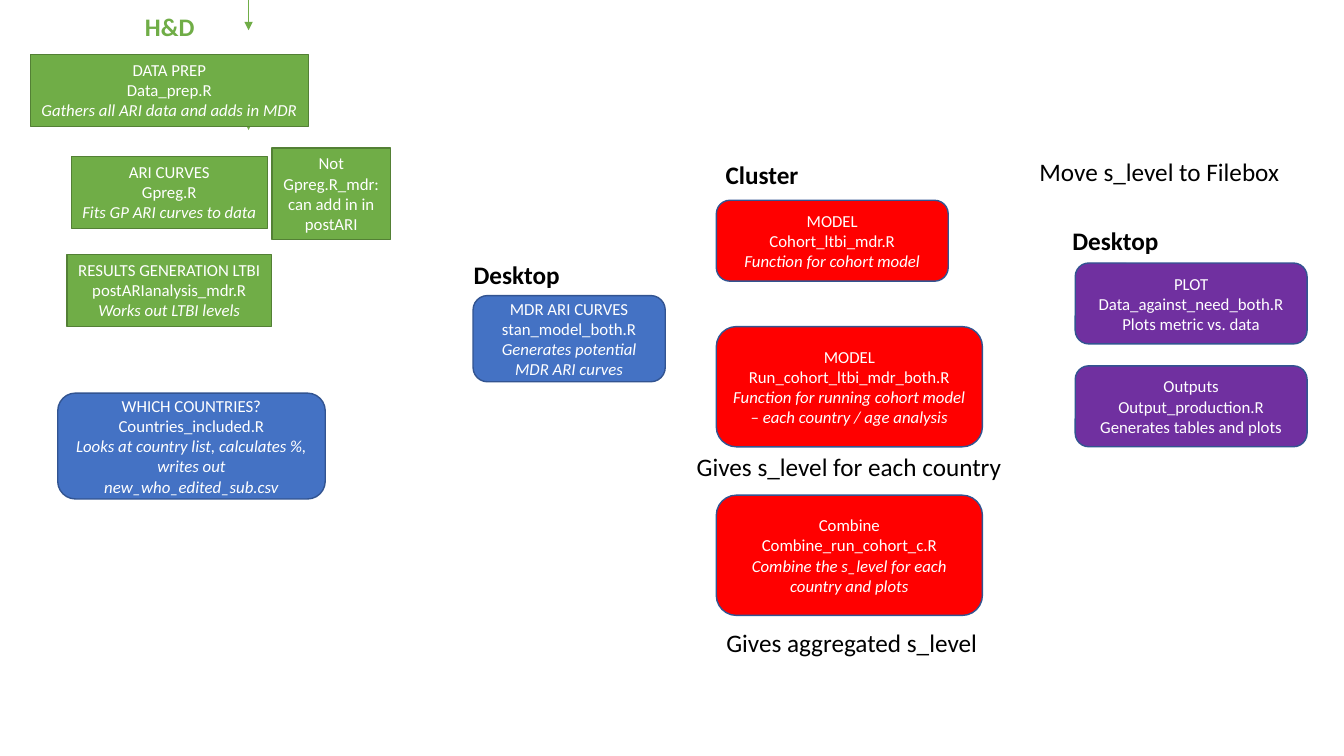
"""Builds the slide that maps the analysis scripts and where each one runs."""
from dataclasses import dataclass

from lxml.etree import SubElement
from pptx import Presentation
from pptx.dml.color import RGBColor
from pptx.enum.shapes import MSO_CONNECTOR, MSO_SHAPE
from pptx.enum.text import MSO_ANCHOR, MSO_AUTO_SIZE, PP_ALIGN
from pptx.oxml.ns import qn
from pptx.slide import Slide
from pptx.util import Inches, Pt

WHITE = RGBColor(0xFF, 0xFF, 0xFF)
BLACK = RGBColor(0x00, 0x00, 0x00)
GREEN = RGBColor(0x70, 0xAD, 0x47)
DARK_GREEN = RGBColor(0x53, 0x80, 0x35)
BLUE = RGBColor(0x44, 0x72, 0xC4)
DARK_BLUE = RGBColor(0x32, 0x54, 0x91)
RED = RGBColor(0xFF, 0x00, 0x00)
PURPLE = RGBColor(0x70, 0x30, 0xA0)

FONT = "Calibri"
SLIDE_WIDTH, SLIDE_HEIGHT = Inches(13.33), Inches(7.5)
LABEL_HEIGHT = 5.3
ARROW_COLUMN = 18.5
CLUSTER_COLUMN, OUTPUT_COLUMN = 53.3, 80
SMALL = (17.25, 10.7)
LARGE = (19.8, 15.9)
PREP_HEIGHT = 9.5


@dataclass(frozen=True)
class BoxStyle:
    """Look shared by the boxes of one stage."""
    fill: RGBColor
    outline: RGBColor = DARK_BLUE
    preset: MSO_SHAPE = MSO_SHAPE.ROUNDED_RECTANGLE
    anchor: MSO_ANCHOR = MSO_ANCHOR.MIDDLE
    auto_size: MSO_AUTO_SIZE = MSO_AUTO_SIZE.NONE


@dataclass(frozen=True)
class ScriptBox:
    """One script, placed in percent of the slide; the note is italic."""
    style: BoxStyle
    left: float
    top: float
    size: tuple[float, float]
    text: str
    note: str = ""
    wrap: bool = True


@dataclass(frozen=True)
class Label:
    """A heading or remark, placed in percent of the slide."""
    left: float
    top: float
    width: float
    text: str
    bold: bool = False
    color: RGBColor = BLACK


PREPARATION = BoxStyle(GREEN, DARK_GREEN, MSO_SHAPE.RECTANGLE, MSO_ANCHOR.TOP,
                       MSO_AUTO_SIZE.SHAPE_TO_FIT_TEXT)
DESKTOP = BoxStyle(BLUE)
CLUSTER = BoxStyle(RED)
OUTPUT = BoxStyle(PURPLE)

BOXES = [
    ScriptBox(PREPARATION, 2.25, 7.2, (20.7, PREP_HEIGHT), "DATA PREP\nData_prep.R",
              "Gathers all ARI data and adds in MDR", wrap=False),
    ScriptBox(PREPARATION, 5.3, 20.7, (14.6, PREP_HEIGHT), "ARI CURVES\nGpreg.R",
              "Fits GP ARI curves to data", wrap=False),
    ScriptBox(PREPARATION, 20.25, 19.6, (8.8, 12.1),
              "Not Gpreg.R_mdr: can add in in postARI"),
    ScriptBox(PREPARATION, 5, 33.7, (15.2, PREP_HEIGHT),
              "RESULTS GENERATION LTBI\npostARIanalysis_mdr.R",
              "Works out LTBI levels", wrap=False),
    ScriptBox(DESKTOP, 4.3, 52, (19.9, 14), "WHICH COUNTRIES?\nCountries_included.R",
              "Looks at country list, calculates %, writes out new_who_edited_sub.csv"),
    ScriptBox(DESKTOP, 35.2, 39.1, (14.3, 11.4), "MDR ARI CURVES stan_model_both.R",
              "Generates potential MDR ARI curves"),
    ScriptBox(CLUSTER, CLUSTER_COLUMN, 26.5, SMALL, "MODEL\nCohort_ltbi_mdr.R",
              "Function for cohort model"),
    ScriptBox(CLUSTER, CLUSTER_COLUMN, 43.2, LARGE, "MODEL\nRun_cohort_ltbi_mdr_both.R",
              "Function for running cohort model – each country / age analysis"),
    ScriptBox(CLUSTER, CLUSTER_COLUMN, 65.5, LARGE, "Combine\nCombine_run_cohort_c.R",
              "Combine the s_level for each country and plots"),
    ScriptBox(OUTPUT, OUTPUT_COLUMN, 34.8, SMALL,
              "PLOT\nData_against_need_both.R\nPlots metric vs. data"),
    ScriptBox(OUTPUT, OUTPUT_COLUMN, 48.4, SMALL,
              "Outputs\nOutput_production.R\nGenerates tables and plots"),
]

LABELS = [
    Label(10.05, 0.8, 5.25, "H&D", True, GREEN),
    Label(34.5, 33.7, 7.95, "Desktop", True),
    Label(53.25, 20.4, 7, "Cluster", True),
    Label(51.1, 59.1, 24.45, "Gives s_level for each country"),
    Label(53.3, 82.3, 20.4, "Gives aggregated s_level"),
    Label(76.6, 20, 20.6, "Move s_level to Filebox"),
    Label(79.05, 29.1, 7.95, "Desktop", True),
]

ARROW_SPANS = [(0, 4), (13.5, 17.2)]


def across(percent: float) -> int:
    """Turn a share of the slide width into a length."""
    return round(SLIDE_WIDTH * percent / 100)


def down(percent: float) -> int:
    """Turn a share of the slide height into a length."""
    return round(SLIDE_HEIGHT * percent / 100)


def format_text(shape, size: int, color: RGBColor, bold: bool = False) -> None:
    """Give every run of a shape the same font."""
    for paragraph in shape.text_frame.paragraphs:
        for run in paragraph.runs:
            run.font.name = FONT
            run.font.size = Pt(size)
            run.font.bold = bold
            run.font.color.rgb = color


def add_arrow(slide: Slide, top: float, bottom: float) -> None:
    """Draw a thin downward arrow."""
    arrow = slide.shapes.add_connector(
        MSO_CONNECTOR.STRAIGHT, across(ARROW_COLUMN), down(top),
        across(ARROW_COLUMN), down(bottom))
    arrow.line.color.rgb = GREEN
    arrow.line.width = Pt(0.5)
    SubElement(arrow.line._get_or_add_ln(), qn("a:tailEnd"), type="triangle")
    SubElement(arrow._element.spPr, qn("a:effectLst"))


def add_box(slide: Slide, box: ScriptBox) -> None:
    """Draw a filled box with its script name and note."""
    width, height = box.size
    shape = slide.shapes.add_shape(box.style.preset, across(box.left), down(box.top),
                                   across(width), down(height))
    shape.shadow.inherit = False
    shape.fill.solid()
    shape.fill.fore_color.rgb = box.style.fill
    shape.line.color.rgb = box.style.outline
    shape.line.width = Pt(1)
    frame = shape.text_frame
    frame.text = box.text
    if box.note:
        note = frame.add_paragraph()
        note.text = box.note
        note.runs[0].font.italic = True
    frame.word_wrap = box.wrap
    frame.auto_size = box.style.auto_size
    frame.vertical_anchor = box.style.anchor
    for paragraph in frame.paragraphs:
        paragraph.alignment = PP_ALIGN.CENTER
    format_text(shape, 12, WHITE)


def add_label(slide: Slide, label: Label) -> None:
    """Write a label without a box around it."""
    shape = slide.shapes.add_textbox(across(label.left), down(label.top),
                                     across(label.width), down(LABEL_HEIGHT))
    shape.text_frame.text = label.text
    shape.text_frame.word_wrap = False
    shape.text_frame.auto_size = MSO_AUTO_SIZE.SHAPE_TO_FIT_TEXT
    format_text(shape, 18, label.color, label.bold)


def main() -> None:
    """Build and save the presentation."""
    presentation = Presentation()
    presentation.slide_width, presentation.slide_height = SLIDE_WIDTH, SLIDE_HEIGHT
    slide = presentation.slides.add_slide(presentation.slide_layouts.get_by_name("Blank"))
    for top, bottom in ARROW_SPANS:
        add_arrow(slide, top, bottom)
    for box in BOXES:
        add_box(slide, box)
    for label in LABELS:
        add_label(slide, label)
    presentation.save("out.pptx")


main()
